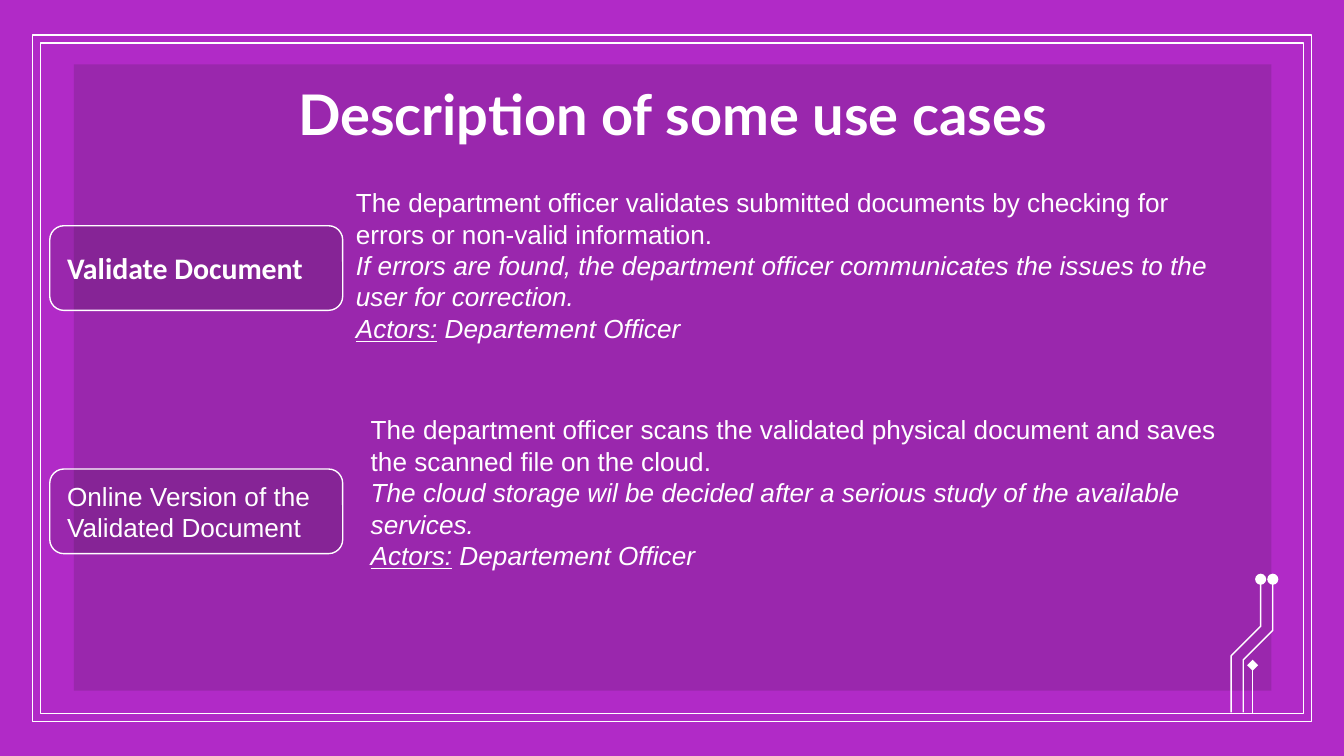
from pptx import Presentation, util as u
from pptx.dml.color import RGBColor
from pptx.enum import shapes, text
from pptx.oxml.ns import qn
from lxml import etree

# Content
TITLE = "Description of some use cases"
ACTORS = ("Actors:", " Departement Officer")
USE_CASES = [
    {
        "label": "Validate Document",
        "label_style": ("Calibri", 16, True),
        "label_top": 1.68,
        "text_at": (2.55, 1.34),
        "summary": "The department officer validates submitted documents by "
                   "checking for errors or non-valid information.",
        "note": "If errors are found, the department officer communicates "
                "the issues to the user for correction.",
    },
    {
        "label": "Online Version of the Validated Document",
        "label_style": ("Arial", 14, False),
        "label_top": 3.49,
        "text_at": (2.66, 3.03),
        "summary": "The department officer scans the validated physical "
                   "document and saves the scanned file on the cloud.",
        "note": "The cloud storage wil be decided after a serious study of "
                "the available services.",
    },
]
CIRCUIT_TRACES = [
    [(9.16, 5.3), (9.16, 4.88), (9.38, 4.66), (9.38, 4.31)],
    [(9.25, 5.3), (9.25, 4.91), (9.47, 4.69), (9.47, 4.31)],
]
CIRCUIT_STUB = (9.32, 5.31, 9.32, 4.95)

THEME = {
    "background": RGBColor.from_string("B12AC7"),
    "shade": RGBColor.from_string("191919"),
    "shade_alpha": 15,
    "white": RGBColor.from_string("FFFFFF"),
    "line": u.Pt(0.75),
    "title": ("Lato", 30, True),
    "body": ("Arial", 14, False),
}


def inches(values):
    return [u.Inches(value) for value in values]


def set_font(paragraph, style):
    name, size, bold = style
    font = paragraph.font
    font.name, font.size, font.bold = name, u.Pt(size), bold
    font.color.rgb = THEME["white"]


def set_line(shape, tail=None):
    shape.line.color.rgb = THEME["white"]
    shape.line.width = THEME["line"]
    if tail:
        line = shape.element.spPr.find(qn("a:ln"))
        etree.SubElement(line, qn("a:tailEnd"), type=tail)


def add_shape(slide, kind, place, shaded=True, outlined=True, corner=None):
    shape = slide.shapes.add_shape(kind, *inches(place))
    shape.shadow.inherit = False
    if corner is not None:
        shape.adjustments[0] = corner
    if shaded:
        shape.fill.solid()
        shape.fill.fore_color.rgb = THEME["shade"]
        color = shape.element.spPr.find(qn("a:solidFill"))[0]
        etree.SubElement(color, qn("a:alpha"),
                         val=str(THEME["shade_alpha"] * 1000))
    else:
        shape.fill.background()
    if outlined:
        set_line(shape)
    else:
        shape.line.fill.background()
    return shape


def set_insets(frame, inset):
    frame.margin_left = frame.margin_right = u.Inches(inset)
    frame.margin_top = frame.margin_bottom = u.Inches(inset)


def add_backdrop(slide):
    slide.background.fill.solid()
    slide.background.fill.fore_color.rgb = THEME["background"]
    kinds = shapes.MSO_SHAPE
    add_shape(slide, kinds.RECTANGLE, (0.55, 0.48, 8.91, 4.66), outlined=False)
    add_shape(slide, kinds.FRAME, (0.24, 0.26, 9.52, 5.11), shaded=False,
              corner=0.012)

    # Circuit ornament
    for trace in CIRCUIT_TRACES:
        points = [inches(point) for point in trace]
        builder = slide.shapes.build_freeform(*points[0])
        builder.add_line_segments(points[1:], close=False)
        shape = builder.convert_to_shape()
        shape.shadow.inherit = False
        shape.fill.background()
        set_line(shape, "oval")
    stub = slide.shapes.add_connector(shapes.MSO_CONNECTOR.STRAIGHT,
                                      *inches(CIRCUIT_STUB))
    set_line(stub, "diamond")
    etree.SubElement(stub.element.spPr, qn("a:effectLst"))


def add_title(slide):
    frame = slide.shapes.add_textbox(*inches((0.79, 0.49, 8.43, 0.63))).text_frame
    frame.word_wrap = True
    set_insets(frame, 0.1)
    paragraph = frame.paragraphs[0]
    paragraph.text = TITLE
    paragraph.alignment = text.PP_ALIGN.CENTER
    set_font(paragraph, THEME["title"])


def add_label(slide, case):
    shape = add_shape(slide, shapes.MSO_SHAPE.ROUNDED_RECTANGLE,
                      (0.37, case["label_top"], 2.18, 0.63), corner=0.167)
    frame = shape.text_frame
    frame.word_wrap = True
    frame.vertical_anchor = text.MSO_ANCHOR.MIDDLE
    set_insets(frame, 0.1)
    paragraph = frame.paragraphs[0]
    paragraph.text = case["label"]
    paragraph.alignment = text.PP_ALIGN.LEFT
    set_font(paragraph, case["label_style"])


def add_description(slide, case):
    place = (*case["text_at"], 6.79, 1.28)
    frame = slide.shapes.add_textbox(*inches(place)).text_frame
    frame.word_wrap = True
    frame.auto_size = text.MSO_AUTO_SIZE.SHAPE_TO_FIT_TEXT
    summary = frame.paragraphs[0]
    note, actors = frame.add_paragraph(), frame.add_paragraph()
    summary.text, note.text = case["summary"], case["note"]
    for content in ACTORS:
        actors.add_run().text = content
    actors.runs[0].font.underline = True
    for paragraph in frame.paragraphs:
        set_font(paragraph, THEME["body"])
    note.font.italic = actors.font.italic = True


def main():
    presentation = Presentation()
    presentation.slide_width = u.Inches(10)
    presentation.slide_height = presentation.slide_width * 9 // 16
    slide = presentation.slides.add_slide(presentation.slide_layouts[6])
    add_backdrop(slide)
    add_title(slide)
    for case in USE_CASES:
        add_label(slide, case)
    for case in USE_CASES:
        add_description(slide, case)
    presentation.save("out.pptx")


if __name__ == "__main__":
    main()
